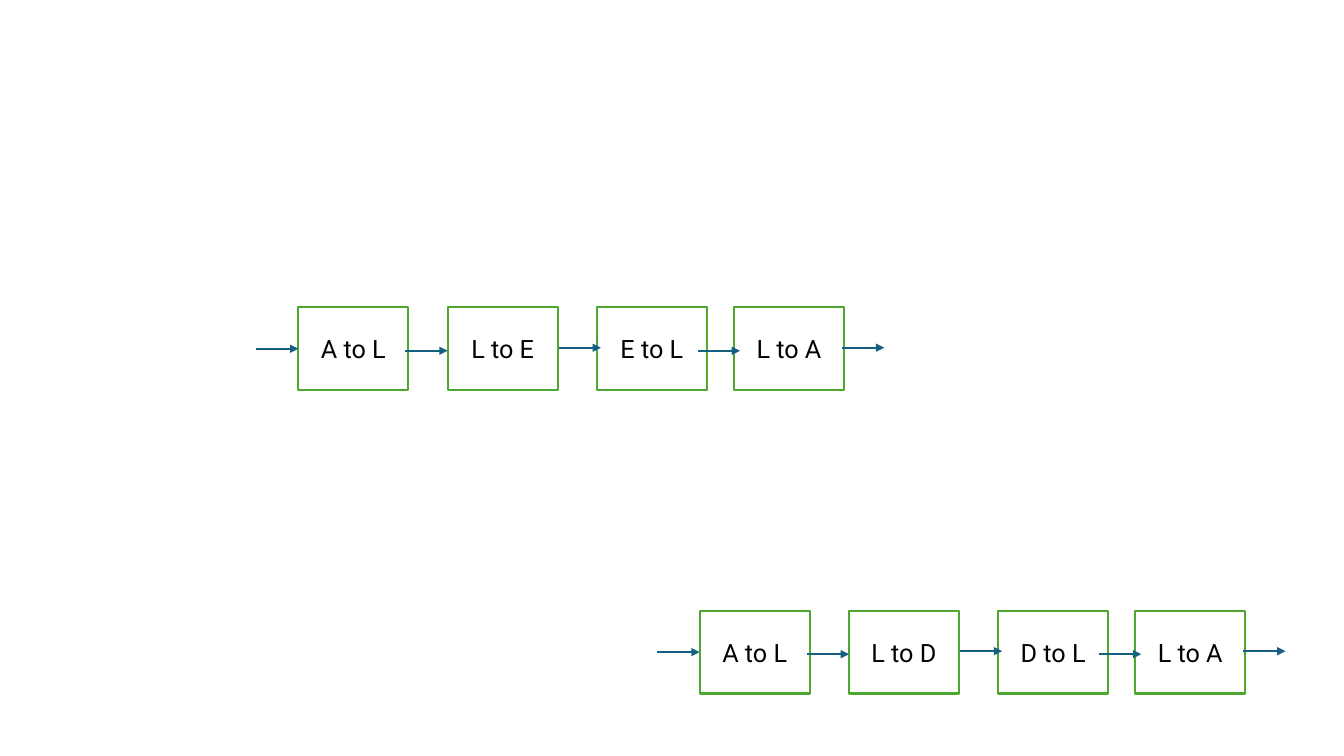
"""Build a slide with two chains of boxes joined by arrows."""
from lxml import etree
from pptx import Presentation, util as u
from pptx.dml.color import RGBColor
from pptx.enum import shapes, text
from pptx.oxml.ns import qn


def tint(part, hue):
    part.solid()
    part.fore_color.rgb = RGBColor.from_string(hue)


def write(shape, words, size=18, font="Roboto", hue="000000"):
    frame = shape.text_frame
    frame.vertical_anchor = text.MSO_ANCHOR.MIDDLE
    para = frame.paragraphs[0]
    para.alignment = text.PP_ALIGN.CENTER
    run = para.add_run()
    run.text = words
    run.font.size, run.font.name = u.Pt(size), font
    tint(run.font.fill, hue)


deck = Presentation()
deck.slide_width, deck.slide_height = u.Inches(13.33), u.Inches(7.5)
slide = deck.slides.add_slide(deck.slide_layouts[6])

wide, high, reach = 1.09, 0.82, 0.42
steps = [0, 1.48, 2.96, 4.32]
links = [(-0.42, 0.41), (3.96, 0.43), (2.58, 0.4), (1.06, 0.43), (5.39, 0.4)]
chains = [
    (2.96, 3.05, ["A to L", "L to E", "E to L", "L to A"]),
    (6.94, 6.06, ["A to L", "L to D", "D to L", "L to A"]),
]

for left, top, names in chains:
    group = slide.shapes.add_group_shape().shapes
    for step, name in zip(steps, names):
        box = group.add_shape(
            shapes.MSO_SHAPE.RECTANGLE,
            u.Inches(left + step), u.Inches(top), u.Inches(wide), u.Inches(high))
        box.shadow.inherit = False
        tint(box.fill, "FFFFFF")
        tint(box.line.fill, "4EA72E")
        box.line.width = u.Pt(1.5)
        write(box, name)

    for start, drop in links:
        y = u.Inches(top + drop)
        link = group.add_connector(
            shapes.MSO_CONNECTOR.STRAIGHT,
            u.Inches(left + start), y, u.Inches(left + start + reach), y)
        tint(link.line.fill, "156082")
        link.line.width = u.Pt(1.5)
        props = link._element.spPr
        etree.SubElement(props.find(qn("a:ln")), qn("a:tailEnd"), type="triangle")
        etree.SubElement(props, qn("a:effectLst"))

deck.save("out.pptx")
